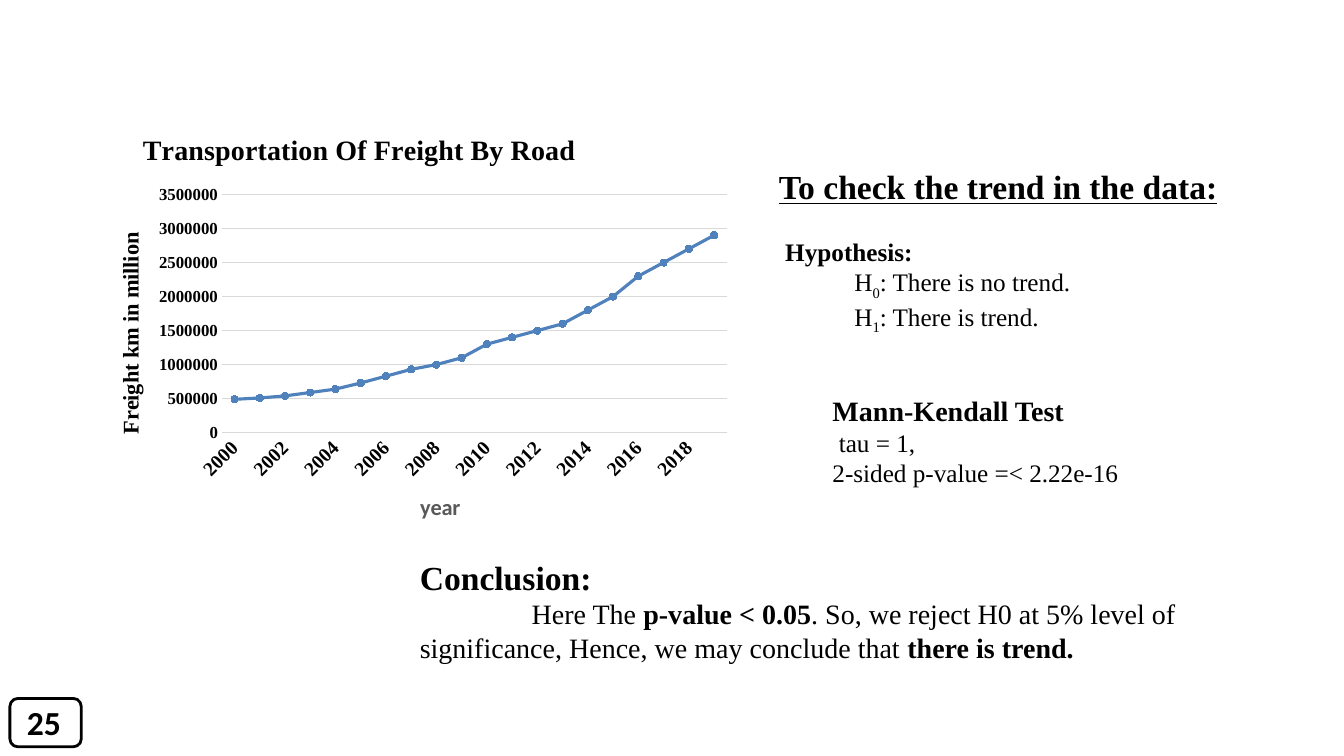
import pptx
import pptx.chart.data
import pptx.dml.color
import pptx.enum.chart
import pptx.enum.shapes
import pptx.enum.text
import pptx.oxml
import pptx.oxml.ns
import pptx.util

Cm = pptx.util.Cm
Pt = pptx.util.Pt
qn = pptx.oxml.ns.qn

BLACK = pptx.dml.color.RGBColor(0x00, 0x00, 0x00)
WHITE = pptx.dml.color.RGBColor(0xFF, 0xFF, 0xFF)
GREY = pptx.dml.color.RGBColor(0x59, 0x59, 0x59)
GRID = pptx.dml.color.RGBColor(0xD9, 0xD9, 0xD9)
BLUE = pptx.dml.color.RGBColor(0x4F, 0x81, 0xBD)
SERIF = "Times New Roman"
SANS = "Calibri"

FIRST_YEAR = 2000
FREIGHT = [490000, 510000, 540000, 590000, 640000, 730000, 830000, 930000,
           1000000, 1100000, 1300000, 1400000, 1500000, 1600000, 1800000,
           2000000, 2300000, 2500000, 2700000, 2900000]


def style_font(font, size, bold=True, color=BLACK, name=SERIF):
    font.size = Pt(size)
    font.bold = bold
    font.name = name
    font.color.rgb = color


def add_rounded_box(slide, box, opacity):
    """Add a white rounded rectangle; opacity is in percent."""
    shape = slide.shapes.add_shape(
        pptx.enum.shapes.MSO_SHAPE.ROUNDED_RECTANGLE, *map(Cm, box))
    shape.shadow.inherit = False
    shape.fill.solid()
    shape.fill.fore_color.rgb = WHITE
    color = shape.fill._xPr.find(".//" + qn("a:srgbClr"))
    alpha = color.makeelement(qn("a:alpha"), {"val": str(opacity * 1000)})
    color.append(alpha)
    return shape


def add_text(slide, box, lines):
    """Each line is (size, indent in cm, space before in pt, pieces).

    A piece is (text, marks): b for bold, u for underlined, s for subscript.
    """
    frame = slide.shapes.add_textbox(*map(Cm, box)).text_frame
    frame.word_wrap = True
    for number, (size, indent, space, pieces) in enumerate(lines):
        paragraph = frame.add_paragraph() if number else frame.paragraphs[0]
        properties = paragraph._p.get_or_add_pPr()
        properties.set("marL", "0")
        properties.set("indent", str(Cm(indent)))
        if space:
            paragraph.space_before = Pt(space)
        for text, marks in pieces:
            run = paragraph.add_run()
            run.text = text
            style_font(run.font, size, bold="b" in marks)
            if "u" in marks:
                run.font.underline = True
            if "s" in marks:
                run._r.get_or_add_rPr().set("baseline", "-25000")


def set_layout(element, index, **fractions):
    """Place a chart part by fractions of the chart's size."""
    for old in element.findall(qn("c:layout")):
        element.remove(old)
    inner = '<c:layoutTarget val="inner"/>' if "w" in fractions else ""
    modes = "".join(f'<c:{side}Mode val="edge"/>' for side in "xy")
    values = "".join(f'<c:{side} val="{value}"/>'
                     for side, value in fractions.items())
    element.insert(index, pptx.oxml.parse_xml(
        f'<c:layout {pptx.oxml.ns.nsdecls("c")}><c:manualLayout>'
        f'{inner}{modes}{values}</c:manualLayout></c:layout>'))


def set_title(title, text, x, y, size, color=BLACK, name=SERIF):
    title.text_frame.text = text
    style_font(title.text_frame.paragraphs[0].runs[0].font, size,
               color=color, name=name)
    set_layout(title._element, 1, x=x, y=y)


def add_freight_chart(slide, box):
    data = pptx.chart.data.CategoryChartData()
    data.categories = [str(FIRST_YEAR + i) for i in range(len(FREIGHT))]
    data.add_series("Series 1", FREIGHT)
    chart = slide.shapes.add_chart(
        pptx.enum.chart.XL_CHART_TYPE.LINE_MARKERS, *map(Cm, box), data).chart
    style_font(chart.font, 10, bold=False, name=SANS)
    chart.has_legend = False
    chart.plots[0].vary_by_categories = False
    set_layout(chart._chartSpace.chart.plotArea, 0,
               x=0.2, y=0.17, w=0.78, h=0.56)
    background = pptx.oxml.parse_xml(
        f'<c:spPr {pptx.oxml.ns.nsdecls("c", "a")}><a:solidFill>'
        f'<a:srgbClr val="{WHITE}"/></a:solidFill>'
        '<a:ln><a:noFill/></a:ln></c:spPr>')
    chart._chartSpace.chart.addnext(background)

    years, freight = chart.category_axis, chart.value_axis
    set_title(chart.chart_title, "Transportation Of Freight By Road",
              0.07, 0.01, 20)
    set_title(years.axis_title, "year", 0.5, 0.86, 16, GREY, SANS)
    set_title(freight.axis_title, "Freight km in million", 0.03, 0.25, 16)
    for axis, size in ((years, 14), (freight, 12)):
        style_font(axis.tick_labels.font, size)
        axis.major_tick_mark = pptx.enum.chart.XL_TICK_MARK.NONE
    years.format.line.color.rgb = GRID
    years.format.line.width = Pt(0.75)
    years._element.find(".//" + qn("c:txPr")).find(
        qn("a:bodyPr")).set("rot", "-2700000")
    skip = years._element.makeelement(qn("c:tickLblSkip"), {"val": "2"})
    years._element.find(qn("c:noMultiLvlLbl")).addprevious(skip)
    freight.minimum_scale, freight.maximum_scale = 0, 3500000
    freight.major_unit = 500000
    freight.tick_labels.number_format = "0"
    freight.tick_labels.number_format_is_linked = False
    freight.format.line.fill.background()
    freight.major_gridlines.format.line.color.rgb = GRID
    freight.major_gridlines.format.line.width = Pt(0.75)

    series = chart.plots[0].series[0]
    series.smooth = False
    series.format.line.color.rgb = BLUE
    series.format.line.width = Pt(2.25)
    series.marker.style = pptx.enum.chart.XL_MARKER_STYLE.CIRCLE
    series.marker.size = 5
    series.marker.format.fill.solid()
    series.marker.format.fill.fore_color.rgb = BLUE
    series.marker.format.line.color.rgb = BLUE


def add_hypothesis(slide, box):
    add_text(slide, box, [
        (24, 1.27, 0, [("To check the trend in the data:", "bu")]),
        (18, 1.43, 21.5, [("Hypothesis:", "b")]),
        (18, 3.17, 0, [("H", ""), ("0", "s"), (": There is no trend.", "")]),
        (18, 3.17, 0, [("H", ""), ("1", "s"), (": There is trend.", "")]),
    ])


def add_test_result(slide, box):
    add_text(slide, box, [
        (20, 0, 0, [("Mann-Kendall Test", "b")]),
        (18, 0.16, 0, [("tau = 1,", "")]),
        (18, 0, 0, [("2-sided p-value =< 2.22e-16", "")]),
    ])


def add_conclusion(slide, box):
    add_text(slide, box, [
        (24, 0, 0, [("Conclusion:", "b")]),
        (20, 2.82, 0, [
            ("Here The ", ""), ("p-value < 0.05", "b"),
            (". So, we reject H0 at 5% level of significance, "
             "Hence, we may conclude that ", ""),
            ("there is trend.", "b")]),
    ])


def add_page_number(slide, box):
    badge = add_rounded_box(slide, box, 70)
    badge.line.color.rgb = BLACK
    badge.line.width = Pt(2)
    frame = badge.text_frame
    frame.margin_left, frame.margin_right = Cm(0.1), Cm(0.18)
    frame.margin_top, frame.margin_bottom = 0, Cm(0.05)
    frame.vertical_anchor = pptx.enum.text.MSO_ANCHOR.MIDDLE
    frame.text = "25"
    frame.paragraphs[0].alignment = pptx.enum.text.PP_ALIGN.CENTER
    style_font(frame.paragraphs[0].runs[0].font, 24, name=SANS)


def main():
    deck = pptx.Presentation()
    deck.slide_width, deck.slide_height = Cm(33.87), Cm(19.05)
    slide = deck.slides.add_slide(deck.slide_layouts[6])
    panel = add_rounded_box(slide, (1.37, 1.24, 31.37, 16.66), 94)
    panel.line.fill.background()
    add_freight_chart(slide, (2.33, 3.08, 16.31, 10.72))
    add_hypothesis(slide, (18.11, 4.06, 14.38, 4.37))
    add_test_result(slide, (20.73, 9.8, 12.5, 1.96))
    add_conclusion(slide, (10.33, 13.9, 20.8, 2.49))
    add_page_number(slide, (0.25, 17.6, 1.8, 1.22))
    deck.save("out.pptx")


if __name__ == "__main__":
    main()
